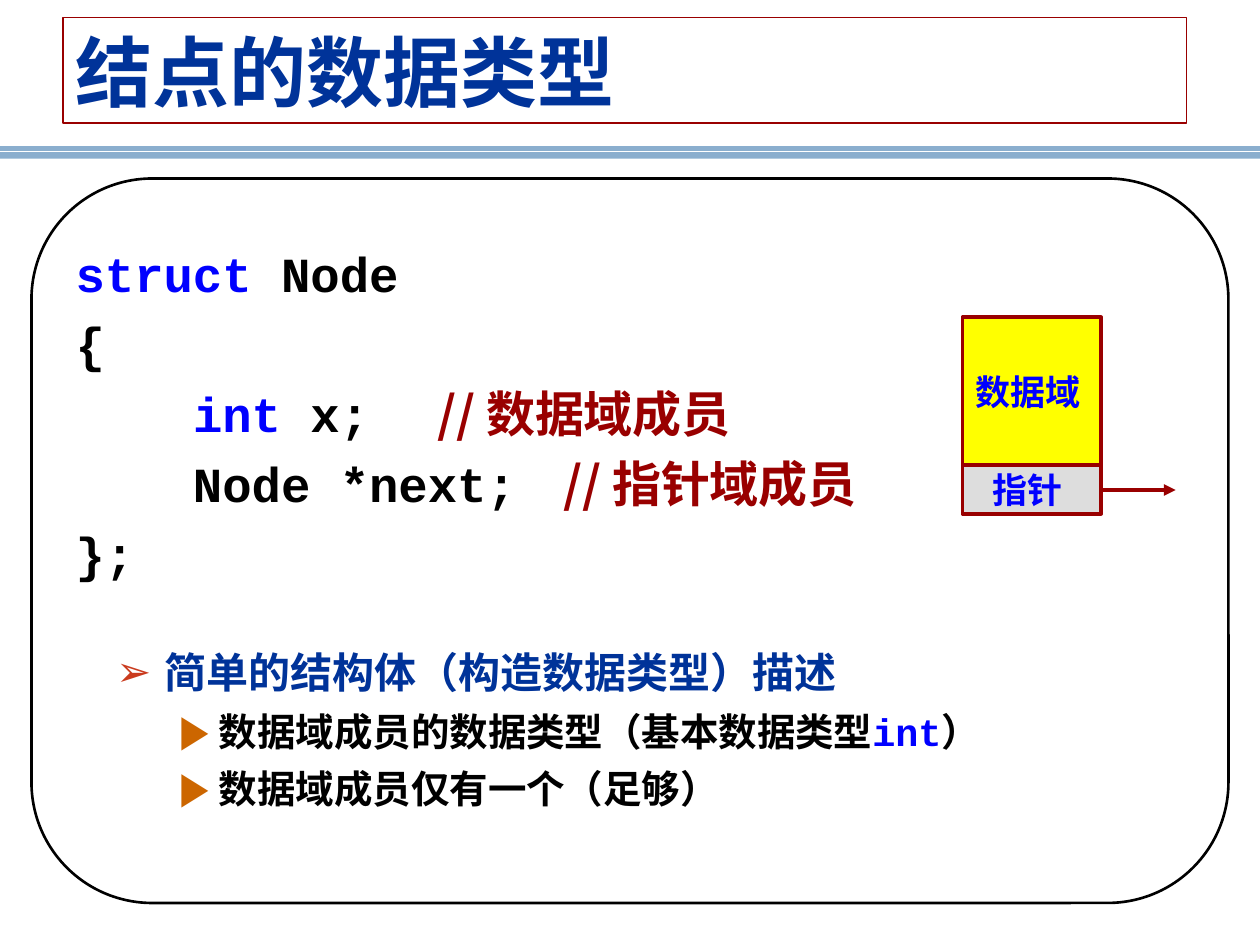
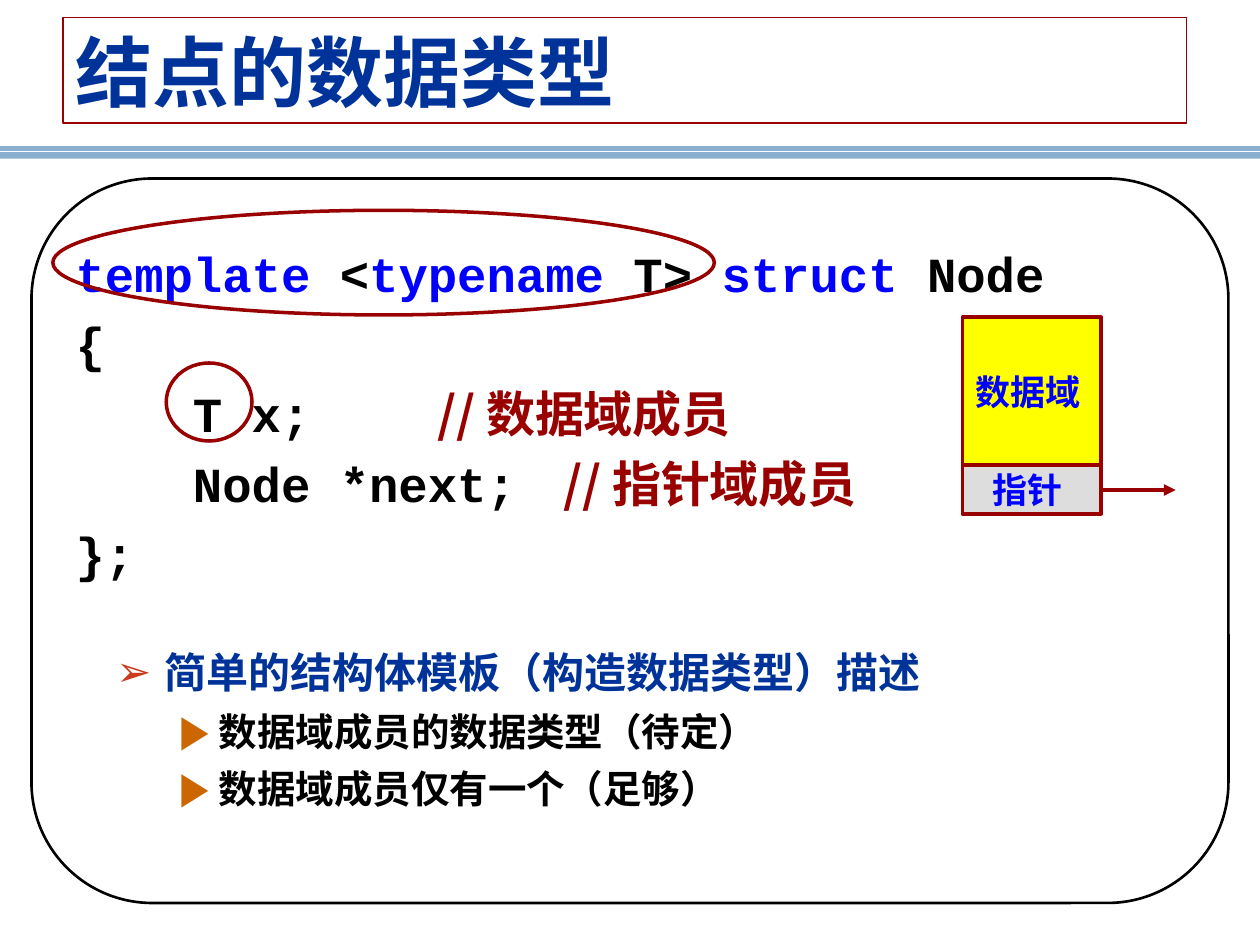
"""Builds two slides on the data type of a linked-list node."""
from lxml import etree
from pptx import Presentation
from pptx.dml.color import RGBColor
from pptx.enum.shapes import MSO_CONNECTOR, MSO_SHAPE
from pptx.enum.text import MSO_ANCHOR, MSO_AUTO_SIZE, PP_ALIGN
from pptx.oxml.ns import qn
from pptx.util import Pt

RECTANGLE, ELLIPSE = MSO_SHAPE.RECTANGLE, MSO_SHAPE.OVAL
ROUNDED_PANEL = MSO_SHAPE.FLOWCHART_ALTERNATE_PROCESS
STRAIGHT = MSO_CONNECTOR.STRAIGHT
MIDDLE, NO_AUTOFIT = MSO_ANCHOR.MIDDLE, MSO_AUTO_SIZE.NONE
LEFT, CENTER = PP_ALIGN.LEFT, PP_ALIGN.CENTER

BLACK = RGBColor(0x00, 0x00, 0x00)
WHITE = RGBColor(0xFF, 0xFF, 0xFF)
NAVY = RGBColor(0x00, 0x33, 0x99)
KEYWORD_BLUE = RGBColor(0x00, 0x00, 0xFF)
DARK_RED = RGBColor(0x99, 0x00, 0x00)
BAND_BLUE = RGBColor(0x8A, 0xAE, 0xCE)
YELLOW = RGBColor(0xFF, 0xFF, 0x00)
GREY = RGBColor(0xDD, 0xDD, 0xDD)
CODE_FONT, CJK_FONT = "Courier New", "Noto Sans CJK SC"

TITLE = "结点的数据类型"
DATA_COMMENT = ("// 数据域成员", DARK_RED, CJK_FONT)
POINTER_LINE = [("    Node *next;\t", BLACK, CODE_FONT), ("// 指针域成员", DARK_RED, CJK_FONT)]
OPEN_BRACE = [("{", BLACK, CODE_FONT)]
CLOSE_BRACE = [("};", BLACK, CODE_FONT)]
ONE_MEMBER = [(" 数据域成员仅有一个（足够）", BLACK, CJK_FONT)]

# level: text size, line height, left indent, first-line indent, bullet, its colour, its size
LEVELS = [
    (28, 34, 26.6, -26.6, None, None, None),
    (24, 28.5, 45.4, -22.3, "➢", "CA3B1E", 100),
    (22, 26.6, 77, -18, "▶", "CC6600", 120),
]

SLIDES = [
    {
        "lines": [
            (0, [("struct", KEYWORD_BLUE, CODE_FONT), (" Node", BLACK, CODE_FONT)]),
            (0, OPEN_BRACE),
            (0, [("    ", BLACK, CODE_FONT), ("int", KEYWORD_BLUE, CODE_FONT),
                 (" x;\t\t", BLACK, CODE_FONT), DATA_COMMENT]),
            (0, POINTER_LINE),
            (0, CLOSE_BRACE),
            (1, [(" 简单的结构体（构造数据类型）描述", NAVY, CJK_FONT)]),
            (2, [(" 数据域成员的数据类型（基本数据类型", BLACK, CJK_FONT),
                 ("int", KEYWORD_BLUE, CODE_FONT), ("）", BLACK, CJK_FONT)]),
            (2, ONE_MEMBER),
        ],
        "highlights": [],
    },
    {
        "lines": [
            (0, [("template", KEYWORD_BLUE, CODE_FONT), (" <", BLACK, CODE_FONT),
                 ("typename", KEYWORD_BLUE, CODE_FONT), (" T> ", BLACK, CODE_FONT),
                 ("struct", KEYWORD_BLUE, CODE_FONT), (" Node", BLACK, CODE_FONT)]),
            (0, OPEN_BRACE),
            (0, [("    T x;\t\t\t", BLACK, CODE_FONT), DATA_COMMENT]),
            (0, POINTER_LINE),
            (0, CLOSE_BRACE),
            (1, [(" 简单的结构体模板（构造数据类型）描述", NAVY, CJK_FONT)]),
            (2, [(" 数据域成员的数据类型（待定）", BLACK, CJK_FONT)]),
            (2, ONE_MEMBER),
        ],
        "highlights": [(30.2, 120.2, 378, 59.8), (95, 207.4, 49, 44.6)],
    },
]


def write(paragraph, text, *, size, color, font):
    run = paragraph.add_run()
    run.text = text
    run.font.size = Pt(size)
    run.font.bold = True
    run.font.color.rgb = color
    run.font.name = font
    latin = run.font._element.find(qn("a:latin"))
    latin.addnext(latin.makeelement(qn("a:ea"), {"typeface": CJK_FONT}))


def draw(container, kind, box, *, fill=None, line=None, width=1):
    shape = container.shapes.add_shape(kind, *[Pt(length) for length in box])
    shape.shadow.inherit = False
    if fill is None:
        shape.fill.background()
    else:
        shape.fill.solid()
        shape.fill.fore_color.rgb = fill
    if line is None:
        shape.line.fill.background()
    else:
        shape.line.color.rgb = line
        shape.line.width = Pt(width)
    return shape


prs = Presentation()
prs.slide_width, prs.slide_height = Pt(720), Pt(540)

for content in SLIDES:
    slide = prs.slides.add_slide(prs.slide_layouts[1])
    draw(slide, ROUNDED_PANEL, (18, 102, 684, 414), line=BLACK, width=1.5)
    draw(slide, RECTANGLE, (0, 83.5, 720, 7.2), fill=BAND_BLUE)

    title, body = slide.placeholders
    title.left, title.top, title.width, title.height = Pt(36), Pt(10), Pt(642), Pt(60.5)
    title.line.color.rgb = DARK_RED
    title.line.width = Pt(1)
    title.text_frame.auto_size = NO_AUTOFIT
    title.text_frame.vertical_anchor = MIDDLE
    heading = title.text_frame.paragraphs[0]
    heading.alignment = LEFT
    write(heading, TITLE, size=44, color=NAVY, font=CODE_FONT)

    body.left, body.top, body.width, body.height = Pt(41.8), Pt(131.8), Pt(600), Pt(342)
    frame = body.text_frame
    frame.auto_size = NO_AUTOFIT
    frame.margin_left, frame.margin_top = Pt(1.4), Pt(7.2)
    for number, (level, runs) in enumerate(content["lines"]):
        size, line_height, indent, first_indent, bullet, bullet_color, bullet_size = LEVELS[level]
        paragraph = frame.add_paragraph() if number else frame.paragraphs[0]
        paragraph.level = level
        properties = paragraph._p.get_or_add_pPr()
        properties.set("marL", str(Pt(indent)))
        properties.set("indent", str(Pt(first_indent)))
        if bullet:
            bullet_fill = etree.SubElement(properties, qn("a:buClr"))
            etree.SubElement(bullet_fill, qn("a:srgbClr"), val=bullet_color)
            etree.SubElement(properties, qn("a:buSzPct"), val=str(bullet_size * 1000))
            etree.SubElement(properties, qn("a:buChar"), char=bullet)
        else:
            etree.SubElement(properties, qn("a:buNone"))
            tab_list = etree.SubElement(properties, qn("a:tabLst"))
            for stop in range(8):
                etree.SubElement(tab_list, qn("a:tab"), pos=str(Pt(72 * stop)), algn="l")
        paragraph.line_spacing = Pt(line_height)
        paragraph.space_before = Pt(0 if number == 0 else 37 if level == 1 else 6)
        for text, color, font in runs:
            write(paragraph, text, size=size, color=color, font=font)

    node = slide.shapes.add_group_shape()
    for label, top, height, fill in (("数据域 ", 181.4, 84.2, YELLOW), ("指针 ", 265.6, 28, GREY)):
        field = draw(node, RECTANGLE, (550, top, 79.2, height), fill=fill, line=DARK_RED, width=2.25)
        field.text_frame.word_wrap = False
        field.text_frame.vertical_anchor = MIDDLE
        caption = field.text_frame.paragraphs[0]
        caption.alignment = CENTER
        write(caption, label, size=20, color=KEYWORD_BLUE, font=CJK_FONT)

    for container, start, end, y, color, width, arrowhead in (
        (slide, 0, 720, 86.4, WHITE, 0.75, None),
        (node, 629.2, 671.8, 280, DARK_RED, 2.25, "triangle"),
    ):
        connector = container.shapes.add_connector(STRAIGHT, Pt(start), Pt(y), Pt(end), Pt(y))
        connector.line.color.rgb = color
        connector.line.width = Pt(width)
        if arrowhead:
            etree.SubElement(connector.line._get_or_add_ln(), qn("a:tailEnd"), type=arrowhead)
        etree.SubElement(connector._element.spPr, qn("a:effectLst"))

    for box in content["highlights"]:
        draw(slide, ELLIPSE, box, line=DARK_RED, width=2)

prs.save("out.pptx")
